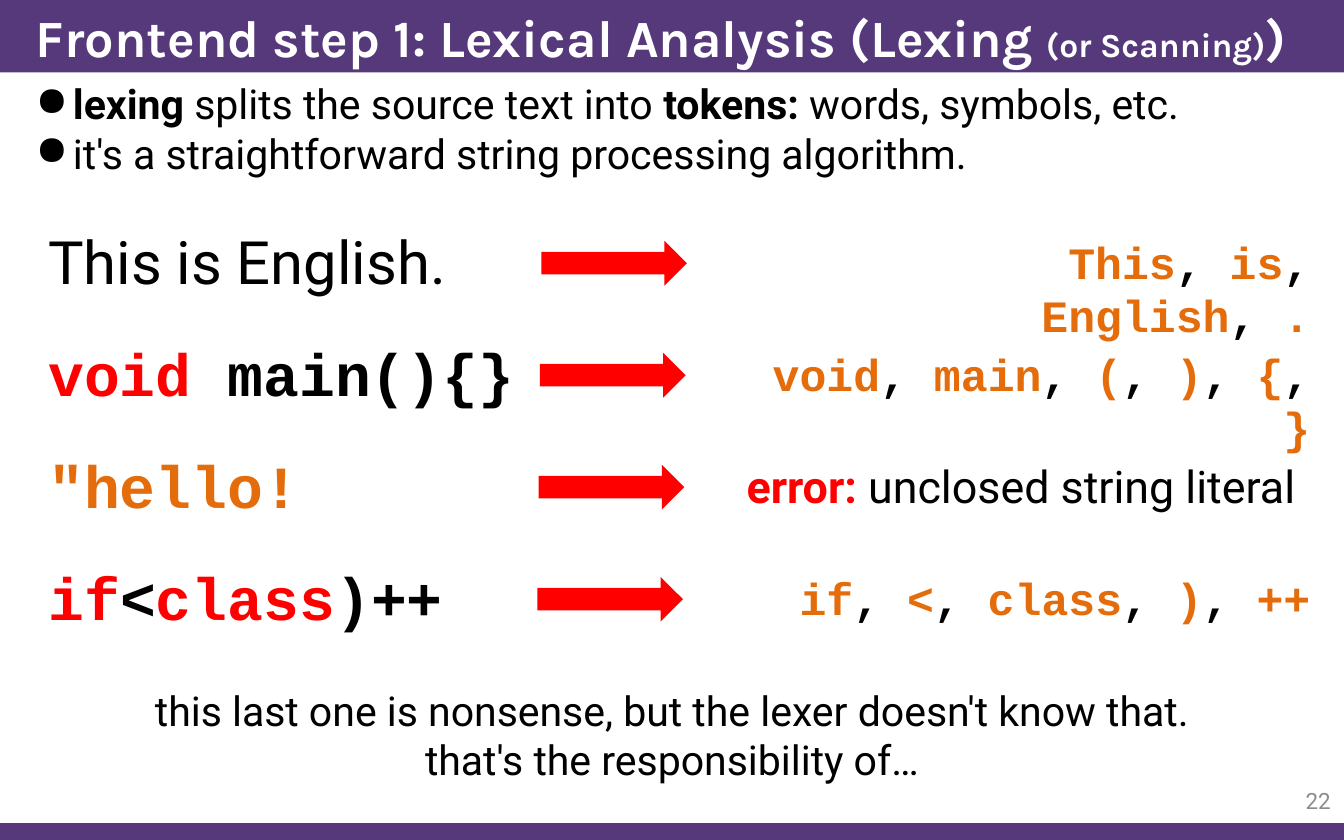
from lxml import etree
from pptx import Presentation
from pptx.dml.color import RGBColor
from pptx.enum.shapes import MSO_SHAPE
from pptx.enum.text import MSO_ANCHOR, MSO_AUTO_SIZE, PP_ALIGN
from pptx.oxml.ns import qn
from pptx.util import Pt

RECTANGLE, RIGHT_ARROW = MSO_SHAPE.RECTANGLE, MSO_SHAPE.RIGHT_ARROW
LEFT, CENTER, RIGHT = PP_ALIGN.LEFT, PP_ALIGN.CENTER, PP_ALIGN.RIGHT
MIDDLE, NO_FIT = MSO_ANCHOR.MIDDLE, MSO_AUTO_SIZE.NONE

PURPLE, RED, ORANGE = "56397B", "FF0000", "E46C0A"
BLACK, WHITE, GRAY = "000000", "FFFFFF", "8C8C8C"
SANS, MONO = "Roboto", "Courier New"

prs = Presentation()
prs.slide_width, prs.slide_height = Pt(720), Pt(450)
slide = prs.slides.add_slide(prs.slide_layouts[5])
shapes = slide.shapes


def add_block(kind, left, top, width, height, color):
    block = shapes.add_shape(kind, Pt(left), Pt(top), Pt(width), Pt(height))
    block.shadow.inherit = False
    block.fill.solid()
    block.fill.fore_color.rgb = RGBColor.from_string(color)
    block.line.fill.background()


def write(paragraph, runs, font, size, align=LEFT):
    """Fill a paragraph with (text, colour, bold) runs."""
    paragraph.alignment = align
    paragraph.font.name, paragraph.font.size = font, Pt(size)
    for text, color, bold in runs:
        run = paragraph.add_run()
        run.text = text
        run.font.color.rgb = RGBColor.from_string(color)
        run.font.bold = bold
    return paragraph


# Purple bars at the top and bottom
add_block(RECTANGLE, 0, 441, 720, 9, PURPLE)
add_block(RECTANGLE, 0, 0, 720, 38.75, PURPLE)

# Title, brought in front of its bar
title = shapes.title
shapes._spTree.append(title._element)
title.left, title.top, title.width, title.height = Pt(12), Pt(0), Pt(708), Pt(38.75)
title.text_frame.auto_size = NO_FIT
title.text_frame.vertical_anchor = MIDDLE
heading = write(title.text_frame.paragraphs[0],
                [("Frontend step 1: Lexical Analysis (Lexing ", WHITE, True),
                 ("(or Scanning)", WHITE, True), (")", WHITE, True)], "Karla", 28)
heading.runs[1].font.size = Pt(18)

# Bullets
bullets = [
    [("lexing", BLACK, True), (" splits the source text into ", BLACK, False),
     ("tokens: ", BLACK, True), ("words, symbols, etc.", BLACK, False)],
    [("it's a straightforward string processing algorithm.", BLACK, False)],
]
intro = shapes.add_textbox(Pt(12), Pt(38.75), Pt(708), Pt(72)).text_frame
intro.word_wrap = True
for i, runs in enumerate(bullets):
    paragraph = intro.add_paragraph() if i else intro.paragraphs[0]
    properties = paragraph._p.get_or_add_pPr()
    properties.set("marL", str(Pt(20)))
    properties.set("indent", str(-Pt(20)))
    etree.SubElement(properties, qn("a:buChar")).set("char", "●")
    write(paragraph, runs, SANS, 22)

# Examples: source runs and font, result runs and font, result left and width
def_tokens = [["This", "is", "English", "."],
              ["void", "main", "(", ")", "{", "}"],
              ["if", "<", "class", ")", "++"]]
token_runs = []
for tokens in def_tokens:
    runs = [(tokens[0], ORANGE, True)]
    for token in tokens[1:]:
        runs += [(",", BLACK, True), (" " + token, ORANGE, True)]
    token_runs.append(runs)
english_tokens, main_tokens, nonsense_tokens = token_runs

examples = [
    ([("This is English.", BLACK, False)], SANS,
     english_tokens, MONO, 421, 288),
    ([("void", RED, True), (" main(){}", BLACK, True)], MONO,
     main_tokens, MONO, 397, 312),
    ([('"hello!', ORANGE, True)], MONO,
     [("error:", RED, True), (" unclosed string literal", BLACK, False)], SANS, 378, 323),
    ([("if", RED, True), ("<", BLACK, True), ("class", RED, True),
      (")++", BLACK, True)], MONO,
     nonsense_tokens, MONO, 397, 312),
]
for row, (source, source_font, result, result_font, left, width) in enumerate(examples):
    offset = 60 * row
    source_box = shapes.add_textbox(Pt(18.75), Pt(116.75 + offset), Pt(281), Pt(46)).text_frame
    source_box.word_wrap = True
    write(source_box.paragraphs[0], source, source_font, 32)
    result_box = shapes.add_textbox(Pt(left), Pt(122 + offset), Pt(width), Pt(36)).text_frame
    result_box.word_wrap = True
    write(result_box.paragraphs[0], result, result_font, 24, RIGHT)
    add_block(RIGHT_ARROW, 290 - 0.7 * row, 129 + offset, 78, 24, RED)

# Closing remark
remark = shapes.add_textbox(Pt(66), Pt(363.75), Pt(588), Pt(60.5)).text_frame
remark.word_wrap = True
write(remark.paragraphs[0],
      [("this last one is nonsense, but the lexer doesn't know that. "
        "that's the responsibility of…", BLACK, False)], SANS, 22, CENTER)

# Slide number
number = shapes.add_textbox(Pt(666), Pt(417), Pt(54), Pt(24)).text_frame
number.word_wrap = True
number.vertical_anchor = MIDDLE
write(number.paragraphs[0], [("22", GRAY, False)], SANS, 12, RIGHT)

prs.save("out.pptx")
